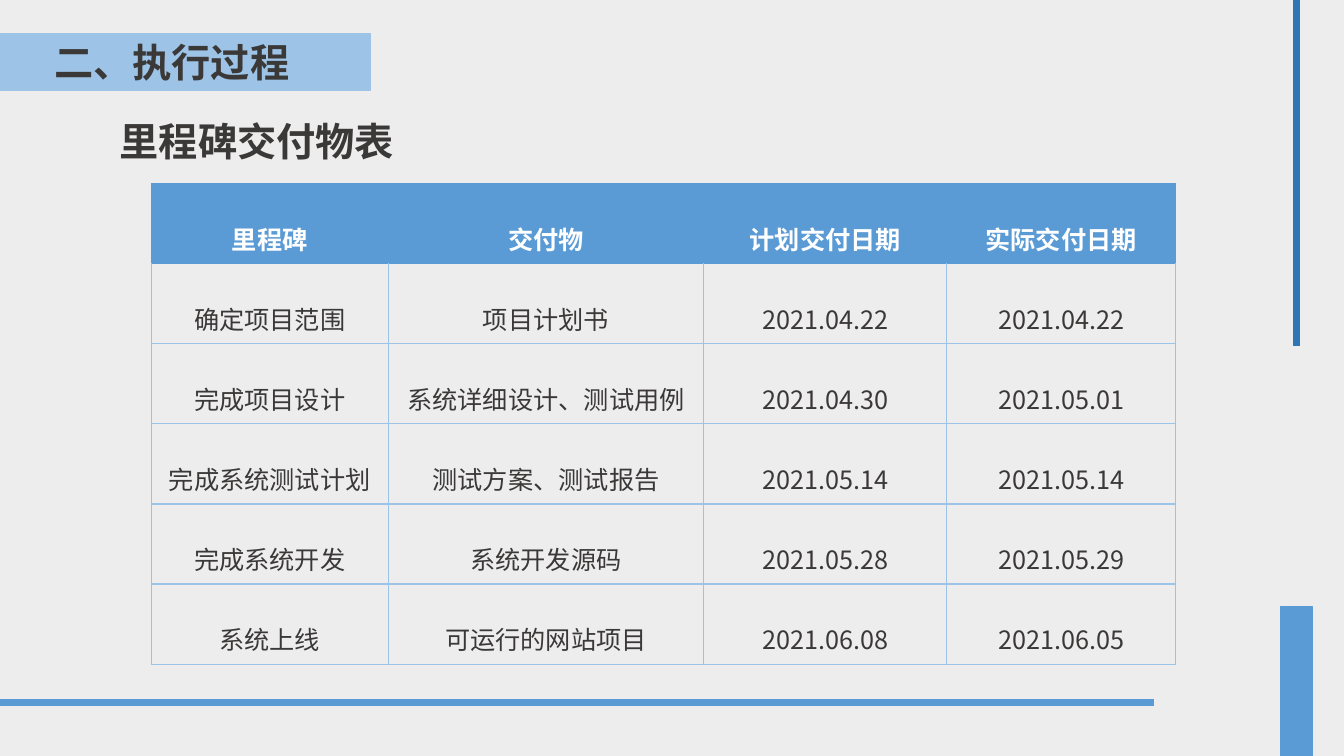
"""Build the milestone deliverables slide."""
from lxml import etree
from pptx import Presentation
from pptx.dml.color import RGBColor
from pptx.enum.shapes import MSO_CONNECTOR as Connector, MSO_SHAPE as Shape
from pptx.enum.text import MSO_AUTO_SIZE as AutoSize, PP_ALIGN as Align
from pptx.oxml.ns import qn
from pptx.util import Inches, Pt

COLORS = {"background": "EDEDED", "blue": "5B9BD5", "deep": "2E75B6",
          "light": "9DC3E6", "grid": "9CC2E5", "text": "3B3838", "white": "FFFFFF"}
FONT = "Noto Sans CJK SC"


def rgb(name):
    return RGBColor.from_string(COLORS[name])


def style_run(run, size, color, bold):
    run.font.size = Pt(size)
    run.font.bold = bold
    run.font.color.rgb = rgb(color)
    run.font.name = FONT
    etree.SubElement(run.font._element, qn("a:ea"), typeface=FONT)


prs = Presentation()
prs.slide_width, prs.slide_height = Inches(13.33), Inches(7.5)
slide = prs.slides.add_slide(prs.slide_layouts[6])
slide.background.fill.solid()
slide.background.fill.fore_color.rgb = rgb("background")

for x1, y1, x2, y2, color in [(0, 6.97, 11.45, 6.97, "blue"),
                              (12.86, 0, 12.86, 3.43, "deep")]:
    rule = slide.shapes.add_connector(
        Connector.STRAIGHT, Inches(x1), Inches(y1), Inches(x2), Inches(y2))
    rule.line.color.rgb = rgb(color)
    rule.line.width = Pt(4.5)
    etree.SubElement(rule._element.spPr, qn("a:effectLst"))

for left, top, width, height, color in [(12.7, 6.02, 0.32, 1.48, "blue"),
                                        (0, 0.33, 3.67, 0.57, "light")]:
    band = slide.shapes.add_shape(
        Shape.RECTANGLE, Inches(left), Inches(top), Inches(width), Inches(height))
    band.shadow.inherit = False
    band.fill.solid()
    band.fill.fore_color.rgb = rgb(color)
    band.line.color.rgb = rgb(color)
    band.line.width = Pt(1)

for left, top, width, title in [(0.44, 0.33, 2.81, "二、执行过程"),
                                (1.09, 1.11, 2.97, "里程碑交付物表")]:
    heading = slide.shapes.add_textbox(
        Inches(left), Inches(top), Inches(width), Inches(0.57)).text_frame
    heading.word_wrap = True
    heading.auto_size = AutoSize.SHAPE_TO_FIT_TEXT
    heading.text = title
    style_run(heading.paragraphs[0].runs[0], 28, "text", True)

milestones = [
    ("里程碑", "交付物", "计划交付日期", "实际交付日期"),
    ("确定项目范围", "项目计划书", "2021.04.22", "2021.04.22"),
    ("完成项目设计", "系统详细设计、测试用例", "2021.04.30", "2021.05.01"),
    ("完成系统测试计划", "测试方案、测试报告", "2021.05.14", "2021.05.14"),
    ("完成系统开发", "系统开发源码", "2021.05.28", "2021.05.29"),
    ("系统上线", "可运行的网站项目", "2021.06.08", "2021.06.05"),
]
column_widths = [2.35, 3.13, 2.41, 2.27]
table = slide.shapes.add_table(
    len(milestones), len(column_widths), Inches(1.5), Inches(1.82),
    Inches(sum(column_widths)), Inches(4.77)).table
table.horz_banding = False
for column, width in zip(table.columns, column_widths):
    column.width = Inches(width)

for row_index, milestone in enumerate(milestones):
    is_header = row_index == 0
    table.rows[row_index].height = Inches(4.77 / len(milestones))
    for column_index, value in enumerate(milestone):
        cell = table.cell(row_index, column_index)
        cell.margin_left = cell.margin_right = Inches(0.07)
        cell.margin_top = cell.margin_bottom = 0
        cell.text_frame.text = value
        paragraph = cell.text_frame.paragraphs[0]
        paragraph.alignment = Align.CENTER
        paragraph.line_spacing = 2.0
        style_run(paragraph.runs[0], 18, "white" if is_header else "text", is_header)

        for side in ("lnL", "lnR", "lnT", "lnB"):
            on_header = is_header or (row_index == 1 and side == "lnT")
            border = etree.SubElement(
                cell._tc.get_or_add_tcPr(), qn(f"a:{side}"), w=str(Pt(1)))
            paint = etree.SubElement(border, qn("a:solidFill"))
            etree.SubElement(paint, qn("a:srgbClr"),
                             val=COLORS["blue" if on_header else "grid"])
        if is_header:
            cell.fill.solid()
            cell.fill.fore_color.rgb = rgb("blue")
        else:
            cell.fill.background()

prs.save("out.pptx")
